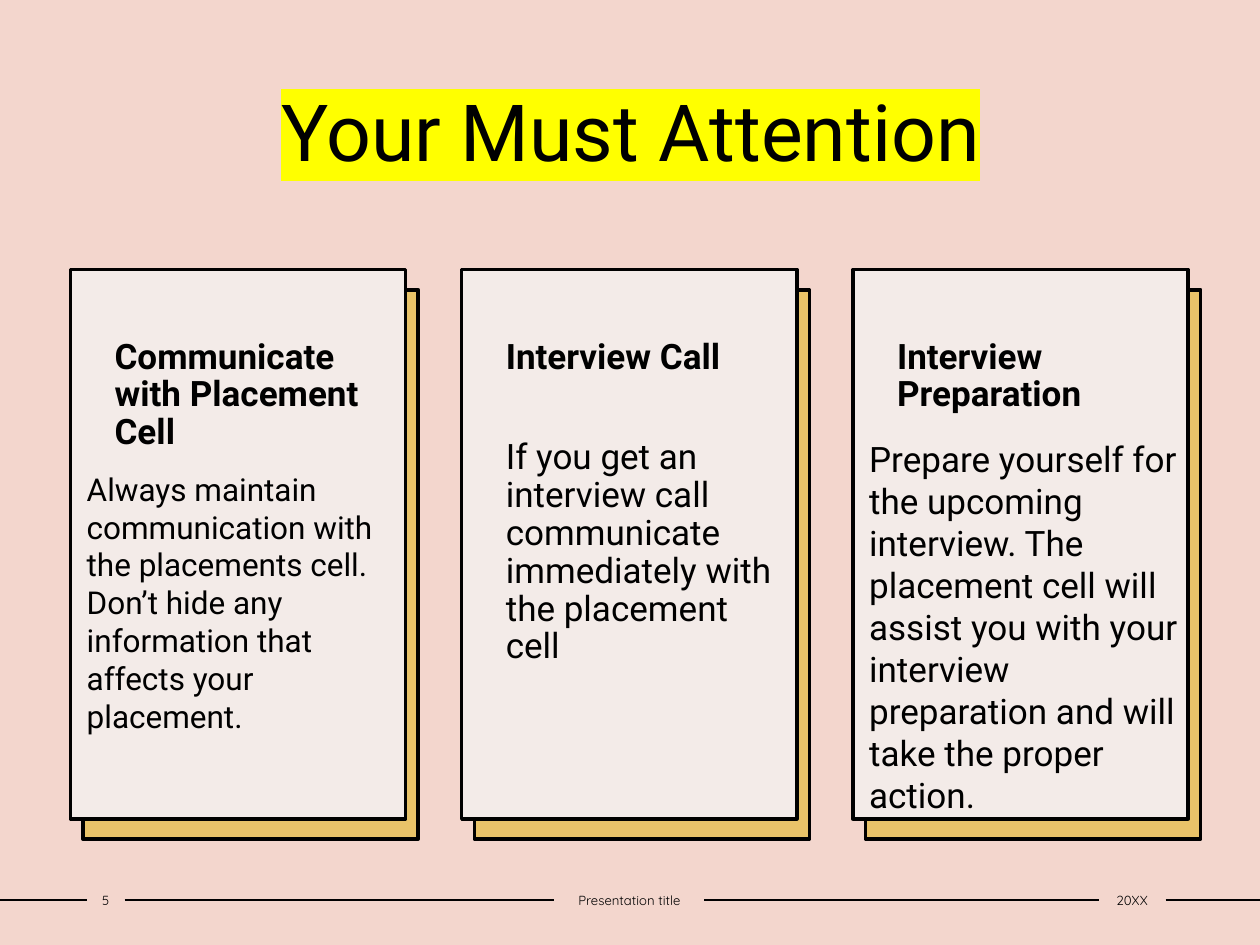
from lxml import etree
from pptx import Presentation
from pptx.dml.color import RGBColor
from pptx.enum import shapes, text
from pptx.oxml.ns import qn
from pptx.util import Inches, Pt

COLORS = {"ground": "F3D6CD", "card": "F3EBE8", "backing": "E9C369",
          "ink": "000000", "marker": "FFFF00"}
COLUMNS, ROWS = 100, 75  # square grid cells over a 10 x 7.5 inch slide
CARD_PITCH = 31.05
CARDS = [
    dict(heading="Communicate with Placement Cell", top=15.4, size=18,
         body="Always maintain communication with the placements cell. "
              "Don’t hide any information that affects your placement."),
    dict(heading="Interview Call", size=20, inside=True,
         body="If you get an interview call communicate immediately "
              "with the placement cell"),
    dict(heading="Interview Preparation", top=12.8, size=20,
         body="Prepare yourself for the upcoming interview. The placement cell "
              "will assist you with your interview preparation and will take "
              "the proper action."),
]


def cells(*counts):
    return [Inches(count / 10) for count in counts]


def color(name):
    return RGBColor.from_string(COLORS[name])


def write(frame, words, size, font="Roboto", bold=False, align=None,
          before=0, spacing=None, highlight=None, more=False):
    """Write one paragraph, the first of the frame unless more is set."""
    line = frame.add_paragraph() if more else frame.paragraphs[0]
    line.alignment = align or text.PP_ALIGN.LEFT
    line.space_before = Pt(before)
    line.line_spacing = spacing
    run = line.add_run()
    run.text = words
    run.font.size, run.font.bold, run.font.name = Pt(size), bold, font
    run.font.color.rgb = color("ink")
    if highlight:
        mark = etree.Element(qn("a:highlight"))
        etree.SubElement(mark, qn("a:srgbClr"), val=COLORS[highlight])
        run.font._element.find(qn("a:solidFill")).addnext(mark)


def set_frame(frame, insets=(1, 0.5, 1, 0.5), anchor=text.MSO_ANCHOR.TOP):
    frame.word_wrap = True
    frame.vertical_anchor = anchor
    (frame.margin_left, frame.margin_top,
     frame.margin_right, frame.margin_bottom) = cells(*insets)


def add_text(slide, box, words, insets=(1, 0.5, 1, 0.5),
             anchor=text.MSO_ANCHOR.TOP, **style):
    holder = slide.shapes.add_textbox(*cells(*box))
    set_frame(holder.text_frame, insets, anchor)
    write(holder.text_frame, words, **style)
    return holder


def add_panel(slide, box, fill):
    panel = slide.shapes.add_shape(shapes.MSO_SHAPE.RECTANGLE, *cells(*box))
    panel.shadow.inherit = False
    panel.fill.solid()
    panel.fill.fore_color.rgb = color(fill)
    panel.line.color.rgb = color("ink")
    panel.line.width = Pt(2)
    return panel


def add_title(slide, box):
    add_text(slide, box, "Your Must Attention", size=45, insets=(1, 1, 1, 0.5),
             align=text.PP_ALIGN.CENTER, highlight="marker")


def add_card(slide, box, heading, body, size, top=0, inside=False):
    left, upper, width, height = box
    add_panel(slide, (left + 1, upper + 1.6, width, height), "backing")
    frame = add_panel(slide, box, "card").text_frame
    set_frame(frame, (3.5, 5.5, 1, 0.5))
    write(frame, heading, 20, bold=True, before=7.5, spacing=0.9)
    if inside:
        write(frame, body, size, before=36, spacing=0.9, more=True)
    else:
        add_text(slide, (left + 0.3, upper + top, width, height - top),
                 body, size=size)


def add_footer(slide, box):
    left, upper, width, height = box
    middle = upper + height / 2
    labels = [add_text(slide, (left + start, upper, span, height), words,
                       insets=(0, 0.5, 0, 0.5), anchor=text.MSO_ANCHOR.MIDDLE,
                       size=7.5, font="Quicksand", align=text.PP_ALIGN.CENTER)
              for words, start, span in (("5", 6.9, 3),
                                         ("Presentation title", 44, 11.9),
                                         ("20XX", 87.2, 5.3))]
    # Rules run from edge to edge between the labels
    for before, after in zip([None, *labels], [*labels, None]):
        rule = slide.shapes.add_connector(
            shapes.MSO_CONNECTOR.STRAIGHT,
            *cells(left, middle, left + width, middle))
        if before:
            rule.begin_connect(before, 3)
        if after:
            rule.end_connect(after, 1)
        rule.line.color.rgb = color("ink")
        rule.line.width = Pt(1)
        etree.SubElement(rule._element.spPr, qn("a:effectLst"))


def main():
    deck = Presentation()
    deck.slide_width, deck.slide_height = cells(COLUMNS, ROWS)
    slide = deck.slides.add_slide(deck.slide_layouts[6])
    slide.background.fill.solid()
    slide.background.fill.fore_color.rgb = color("ground")

    add_title(slide, (9.4, 5.6, 81.3, 11.1))
    for index, card in enumerate(CARDS):
        add_card(slide, (5.6 + index * CARD_PITCH, 21.4, 26.6, 43.6), **card)
    add_footer(slide, (0, 70.1, COLUMNS, 2.7))
    deck.save("out.pptx")


if __name__ == "__main__":
    main()
